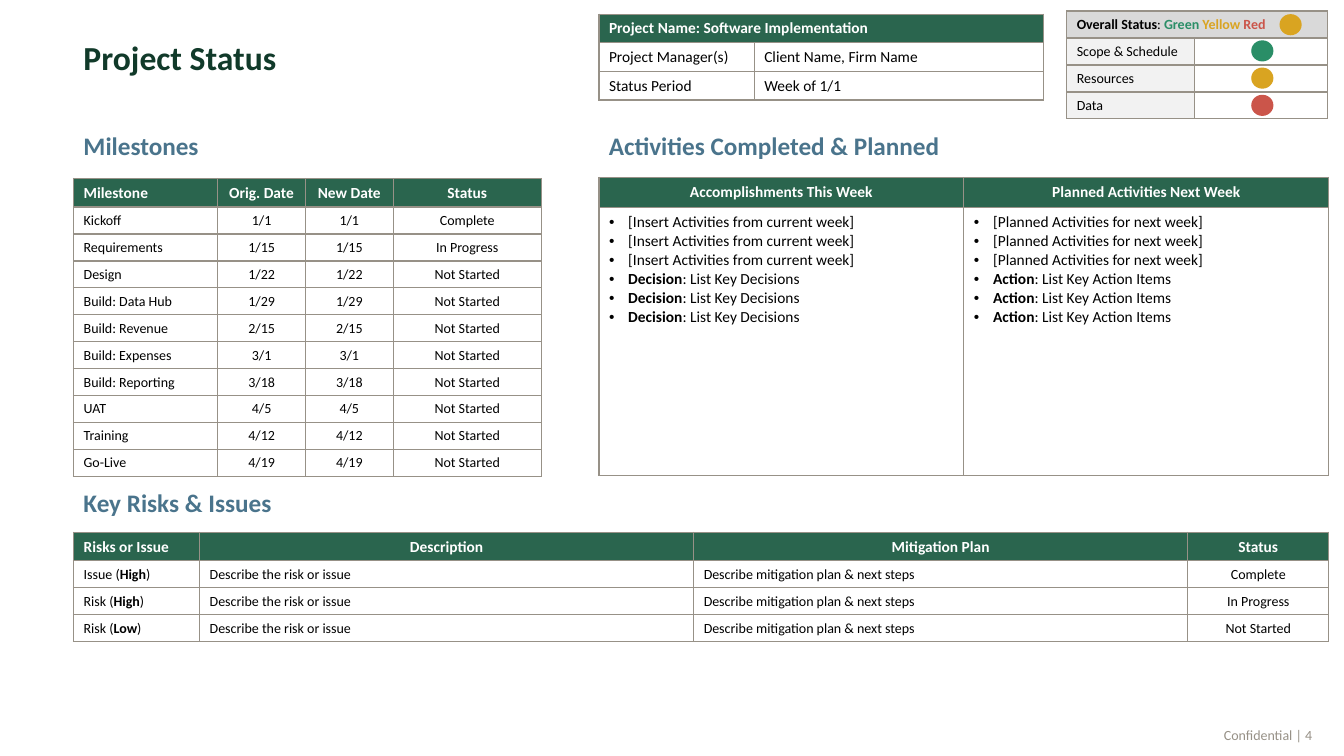
from dataclasses import dataclass

from lxml.etree import SubElement
from pptx import Presentation
from pptx.dml.color import RGBColor
from pptx.enum.shapes import MSO_SHAPE as Shape
from pptx.enum.text import MSO_ANCHOR as Anchor, PP_ALIGN as Align
from pptx.oxml.ns import qn
from pptx.util import Inches, Pt


@dataclass(frozen=True)
class Theme:
    font: str = "Calibri"
    black: str = "000000"
    white: str = "FFFFFF"
    title: str = "113A2A"
    heading: str = "4A748C"
    header: str = "2A654E"
    grey: str = "979187"
    banner: str = "D9D9D9"
    label: str = "F2F2F2"
    green: str = "2A8E67"
    yellow: str = "D9A421"
    red: str = "CB554A"
    title_size: int = 24
    heading_size: int = 18
    text_size: int = 11
    small_size: int = 10


THEME = Theme()
LEFT, RIGHT_COLUMN = 0.73, 5.94
HEADER_ROW, BODY_ROW = 0.28, 0.26


def add_run(paragraph, text, size, color, bold=False):
    run = paragraph.add_run()
    run.text = text
    run.font.name = THEME.font
    run.font.size = Pt(size)
    run.font.bold = bold
    run.font.color.rgb = RGBColor.from_string(color)


def add_marked_text(paragraph, text, size, color, bold=False):
    for index, part in enumerate(text.split("*")):
        if part:
            add_run(paragraph, part, size, color, bold or index % 2 == 1)


def add_label(slide, left, top, width, height, text, size, color, bold=True):
    box = slide.shapes.add_textbox(Inches(left), Inches(top), Inches(width), Inches(height))
    frame = box.text_frame
    frame.word_wrap = True
    frame.vertical_anchor = Anchor.MIDDLE
    add_run(frame.paragraphs[0], text, size, color, bold)


def add_heading(slide, left, top, width, text):
    add_label(slide, left, top, width, 0.4, text, THEME.heading_size, THEME.heading)


def add_status_dot(slide, left, top, color):
    dot = slide.shapes.add_shape(Shape.OVAL, Inches(left), Inches(top), Inches(0.22), Inches(0.21))
    dot.shadow.inherit = False
    dot.fill.solid()
    dot.fill.fore_color.rgb = RGBColor.from_string(color)
    dot.line.fill.background()


def add_borders(cell):
    properties = cell._tc.get_or_add_tcPr()
    for side in ("lnL", "lnR", "lnT", "lnB"):
        line = SubElement(properties, qn(f"a:{side}"), w=str(Pt(1)))
        fill = SubElement(line, qn("a:solidFill"))
        SubElement(fill, qn("a:srgbClr"), val=THEME.grey)


def add_bullet(paragraph):
    properties = paragraph._p.get_or_add_pPr()
    properties.set("marL", str(Inches(0.19)))
    properties.set("indent", str(-Inches(0.19)))
    SubElement(properties, qn("a:buFont"), typeface="Arial")
    SubElement(properties, qn("a:buChar"), char="•")


def add_grid(slide, left, top, widths, heights):
    frame = slide.shapes.add_table(
        len(heights), len(widths), Inches(left), Inches(top),
        Inches(sum(widths)), Inches(sum(heights)))
    grid = frame.table
    grid.first_row = grid.horz_banding = False
    for column, width in zip(grid.columns, widths):
        column.width = Inches(width)
    for row, height in zip(grid.rows, heights):
        row.height = Inches(height)
    for cell in grid.iter_cells():
        add_borders(cell)
        cell.fill.background()
        cell.vertical_anchor = Anchor.MIDDLE
        SubElement(cell.text_frame.paragraphs[0]._p, qn("a:endParaRPr"),
                   sz=str(THEME.small_size * 100))
    return grid


def shade(cell, color):
    cell.fill.solid()
    cell.fill.fore_color.rgb = RGBColor.from_string(color)


def write_cell(cell, text, size, color=THEME.black, bold=False, centred=False):
    paragraph = cell.text_frame.paragraphs[0]
    paragraph.alignment = Align.CENTER if centred else Align.LEFT
    add_marked_text(paragraph, text, size, color, bold)


def write_header(grid, titles, centred):
    for column, title in enumerate(titles):
        cell = grid.cell(0, column)
        shade(cell, THEME.header)
        write_cell(cell, title, THEME.text_size, THEME.white, True, column in centred)


def add_listing(slide, top, widths, titles, records, centred_titles, centred_body):
    heights = [HEADER_ROW] + [BODY_ROW] * len(records)
    grid = add_grid(slide, LEFT, top, widths, heights)
    write_header(grid, titles, centred_titles)
    for row, record in enumerate(records, 1):
        for column, text in enumerate(record):
            write_cell(grid.cell(row, column), text, THEME.small_size,
                       centred=column in centred_body)


def add_project(slide):
    grid = add_grid(slide, RIGHT_COLUMN, 0.14, [1.54, 2.87], [HEADER_ROW] * 3)
    grid.cell(0, 0).merge(grid.cell(0, 1))
    write_header(grid, ["Project Name: Software Implementation"], ())
    details = [("Project Manager(s)", "Client Name, Firm Name"), ("Status Period", "Week of 1/1")]
    for row, detail in enumerate(details, 1):
        for column, text in enumerate(detail):
            write_cell(grid.cell(row, column), text, THEME.text_size)


def add_overall_status(slide):
    grid = add_grid(slide, 10.58, 0.11, [1.27, 1.32], [BODY_ROW] * 4)
    banner = grid.cell(0, 0)
    banner.merge(grid.cell(0, 1))
    shade(banner, THEME.banner)
    write_cell(banner, "*Overall Status*: ", THEME.small_size)
    for text, color in (("Green ", THEME.green), ("Yellow ", THEME.yellow), ("Red", THEME.red)):
        add_run(banner.text_frame.paragraphs[0], text, THEME.small_size, color, True)
    add_status_dot(slide, 12.69, 0.14, THEME.yellow)
    areas = [("Scope & Schedule", THEME.green), ("Resources", THEME.yellow), ("Data", THEME.red)]
    for row, (area, color) in enumerate(areas, 1):
        shade(grid.cell(row, 0), THEME.label)
        write_cell(grid.cell(row, 0), area, THEME.small_size)
        add_status_dot(slide, 12.41, 0.13 + 0.27 * row, color)


def add_milestones(slide):
    add_heading(slide, LEFT, 1.24, 2.43, "Milestones")
    plan = [("Kickoff", "1/1"), ("Requirements", "1/15"), ("Design", "1/22"),
            ("Build: Data Hub", "1/29"), ("Build: Revenue", "2/15"), ("Build: Expenses", "3/1"),
            ("Build: Reporting", "3/18"), ("UAT", "4/5"), ("Training", "4/12"), ("Go-Live", "4/19")]
    progress = ["Complete", "In Progress"] + ["Not Started"] * (len(plan) - 2)
    records = [(name, date, date, status) for (name, date), status in zip(plan, progress)]
    add_listing(slide, 1.77, [1.43, 0.87, 0.87, 1.47],
                ["Milestone", "Orig. Date", "New Date", "Status"], records, (1, 2, 3), (1, 2, 3))


def add_activities(slide):
    add_heading(slide, RIGHT_COLUMN, 1.24, 3.74, "Activities Completed & Planned")
    grid = add_grid(slide, RIGHT_COLUMN, 1.76, [3.62, 3.62], [0.3, 2.66])
    write_header(grid, ["Accomplishments This Week", "Planned Activities Next Week"], (0, 1))
    contents = [("[Insert Activities from current week]", "*Decision*: List Key Decisions"),
                ("[Planned Activities for next week]", "*Action*: List Key Action Items")]
    for column, (activity, follow_up) in enumerate(contents):
        cell = grid.cell(1, column)
        cell.vertical_anchor = Anchor.TOP
        frame = cell.text_frame
        for index, text in enumerate([activity] * 3 + [follow_up] * 3):
            paragraph = frame.add_paragraph() if index else frame.paragraphs[0]
            add_bullet(paragraph)
            add_marked_text(paragraph, text, THEME.text_size, THEME.black)


def add_risks(slide):
    add_heading(slide, LEFT, 4.78, 2.43, "Key Risks & Issues")
    levels = [("Issue (*High*)", "Complete"), ("Risk (*High*)", "In Progress"),
              ("Risk (*Low*)", "Not Started")]
    records = [(level, "Describe the risk or issue", "Describe mitigation plan & next steps", status)
               for level, status in levels]
    add_listing(slide, 5.28, [1.25, 4.9, 4.9, 1.4],
                ["Risks or Issue", "Description", "Mitigation Plan", "Status"],
                records, (1, 2, 3), (3,))


def main():
    deck = Presentation()
    deck.slide_width, deck.slide_height = Inches(13.33), Inches(7.5)
    slide = deck.slides.add_slide(deck.slide_layouts[6])
    add_label(slide, LEFT, 0.33, 5, 0.48, "Project Status", THEME.title_size, THEME.title)
    add_project(slide)
    add_overall_status(slide)
    add_milestones(slide)
    add_activities(slide)
    add_risks(slide)
    add_label(slide, 12.04, 7.16, 1.2, 0.27, "Confidential | 4",
              THEME.small_size, THEME.grey, False)
    deck.save("out.pptx")


if __name__ == "__main__":
    main()
